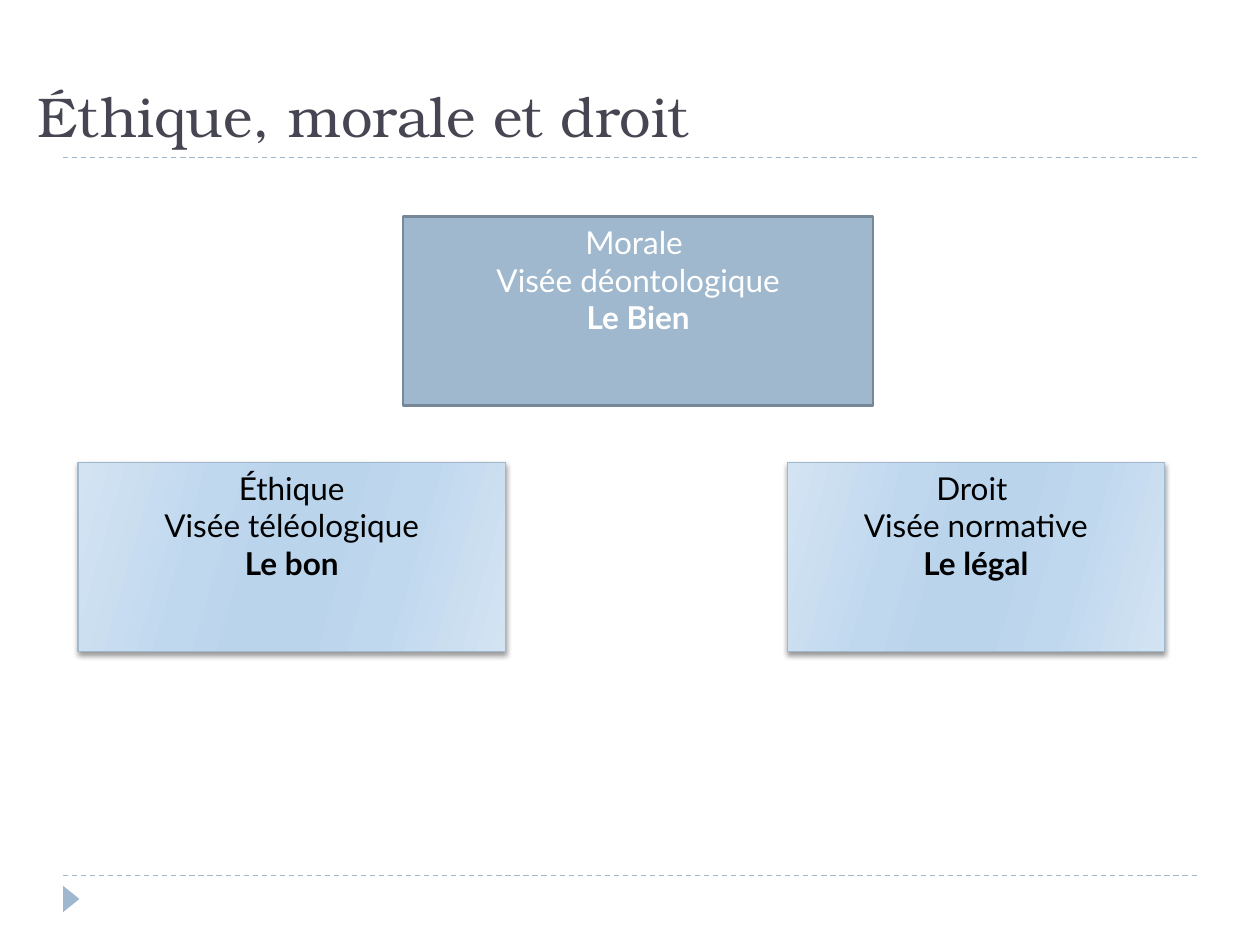
from dataclasses import dataclass

import lxml.etree
import pptx
import pptx.dml.color
import pptx.enum.dml
import pptx.enum.shapes
import pptx.enum.text
import pptx.oxml
import pptx.oxml.ns
import pptx.util

Inches = pptx.util.Inches
RGBColor = pptx.dml.color.RGBColor
qn = pptx.oxml.ns.qn

ACCENT = RGBColor(0x9F, 0xB8, 0xCD)
ACCENT_DARK = RGBColor(0x76, 0x88, 0x98)
TITLE_COLOR = RGBColor(0x46, 0x46, 0x53)
BLACK = RGBColor(0, 0, 0)
WHITE = RGBColor(255, 255, 255)
PALE = RGBColor(0xD3, 0xE3, 0xF2)
LIGHT = RGBColor(0xC0, 0xD8, 0xEE)
MEDIUM = RGBColor(0xBA, 0xD4, 0xEC)
GRADIENT = ((0, PALE), (30, LIGHT), (45, MEDIUM), (55, MEDIUM), (73, LIGHT), (100, PALE))
GRADIENT_ANGLE = 16
BOX_HEIGHT = 1.5


@dataclass
class ConceptBox:
    left: float
    top: float
    width: float
    lines: tuple[str, str, str]
    highlighted: bool = False


BOXES = (
    ConceptBox(6.25, 3.67, 2.99, ("Droit ", "Visée normative", "Le légal")),
    ConceptBox(0.62, 3.67, 3.39, ("Éthique", "Visée téléologique", "Le bon")),
    ConceptBox(3.2, 1.72, 3.73, ("Morale ", "Visée déontologique", "Le Bien"), True),
)


def add_rule(slide, top: float) -> None:
    rule = slide.shapes.add_connector(
        pptx.enum.shapes.MSO_CONNECTOR.STRAIGHT,
        Inches(0.5), Inches(top), Inches(9.5), Inches(top),
    )
    rule.line.color.rgb = ACCENT
    rule.line.width = pptx.util.Pt(0.75)
    rule.line.dash_style = pptx.enum.dml.MSO_LINE.DASH
    lxml.etree.SubElement(rule.element.spPr, qn("a:effectLst"))


def add_marker(slide) -> None:
    marker = slide.shapes.add_shape(
        pptx.enum.shapes.MSO_SHAPE.ISOSCELES_TRIANGLE,
        Inches(0.46), Inches(7.07), Inches(0.21), Inches(0.13),
    )
    marker.rotation = 90
    marker.shadow.inherit = False
    marker.fill.solid()
    marker.fill.fore_color.rgb = ACCENT
    marker.line.fill.background()


def add_title(slide, text: str) -> None:
    title = slide.shapes.add_textbox(Inches(0.2), Inches(0.28), Inches(9.29), Inches(0.95))
    frame = title.text_frame
    frame.word_wrap = True
    frame.vertical_anchor = pptx.enum.text.MSO_ANCHOR.BOTTOM
    paragraph = frame.paragraphs[0]
    paragraph.text = text
    paragraph.font.name = "TeX Gyre Bonum"
    paragraph.font.size = pptx.util.Pt(32)
    paragraph.font.color.rgb = TITLE_COLOR


def apply_gradient(shape) -> None:
    shape.fill.gradient()
    gradient = shape.element.spPr.find(qn("a:gradFill"))
    for child in list(gradient):
        gradient.remove(child)
    stops = lxml.etree.SubElement(gradient, qn("a:gsLst"))
    for position, color in GRADIENT:
        stop = lxml.etree.SubElement(stops, qn("a:gs"), pos=str(position * 1000))
        lxml.etree.SubElement(stop, qn("a:srgbClr"), val=str(color))
    lxml.etree.SubElement(gradient, qn("a:lin"), ang=str(GRADIENT_ANGLE * 60000), scaled="0")


def apply_shadow(shape) -> None:
    effects = shape.element.spPr.find(qn("a:effectLst"))
    shadow = lxml.etree.SubElement(
        effects, qn("a:outerShdw"),
        blurRad=str(pptx.util.Pt(3)), dist=str(pptx.util.Pt(2)),
        dir=str(90 * 60000), rotWithShape="0",
    )
    color = lxml.etree.SubElement(shadow, qn("a:srgbClr"), val=str(BLACK))
    lxml.etree.SubElement(color, qn("a:alpha"), val="40000")


def add_box(slide, box: ConceptBox) -> None:
    shape = slide.shapes.add_shape(
        pptx.enum.shapes.MSO_SHAPE.RECTANGLE,
        Inches(box.left), Inches(box.top), Inches(box.width), Inches(BOX_HEIGHT),
    )
    shape.shadow.inherit = False
    if box.highlighted:
        shape.fill.solid()
        shape.fill.fore_color.rgb = ACCENT
    else:
        apply_gradient(shape)
        apply_shadow(shape)
    shape.line.color.rgb = ACCENT_DARK if box.highlighted else ACCENT
    shape.line.width = pptx.util.Pt(1.5 if box.highlighted else 0.75)

    frame = shape.text_frame
    frame.word_wrap = False
    frame.vertical_anchor = pptx.enum.text.MSO_ANCHOR.TOP
    frame.text = "\n".join(box.lines)
    for paragraph in frame.paragraphs:
        paragraph.alignment = pptx.enum.text.PP_ALIGN.CENTER
        paragraph.font.name = "Lato"
        paragraph.font.size = pptx.util.Pt(18)
        paragraph.font.color.rgb = WHITE if box.highlighted else BLACK
    frame.paragraphs[-1].font.bold = True


presentation = pptx.Presentation()
presentation.slide_width = Inches(10)
presentation.slide_height = Inches(7.5)
slide = presentation.slides.add_slide(presentation.slide_layouts[6])

for rule_top in (6.95, 1.25):
    add_rule(slide, rule_top)
add_marker(slide)
add_title(slide, "Éthique, morale et droit")
for concept_box in BOXES:
    add_box(slide, concept_box)

presentation.save("out.pptx")
